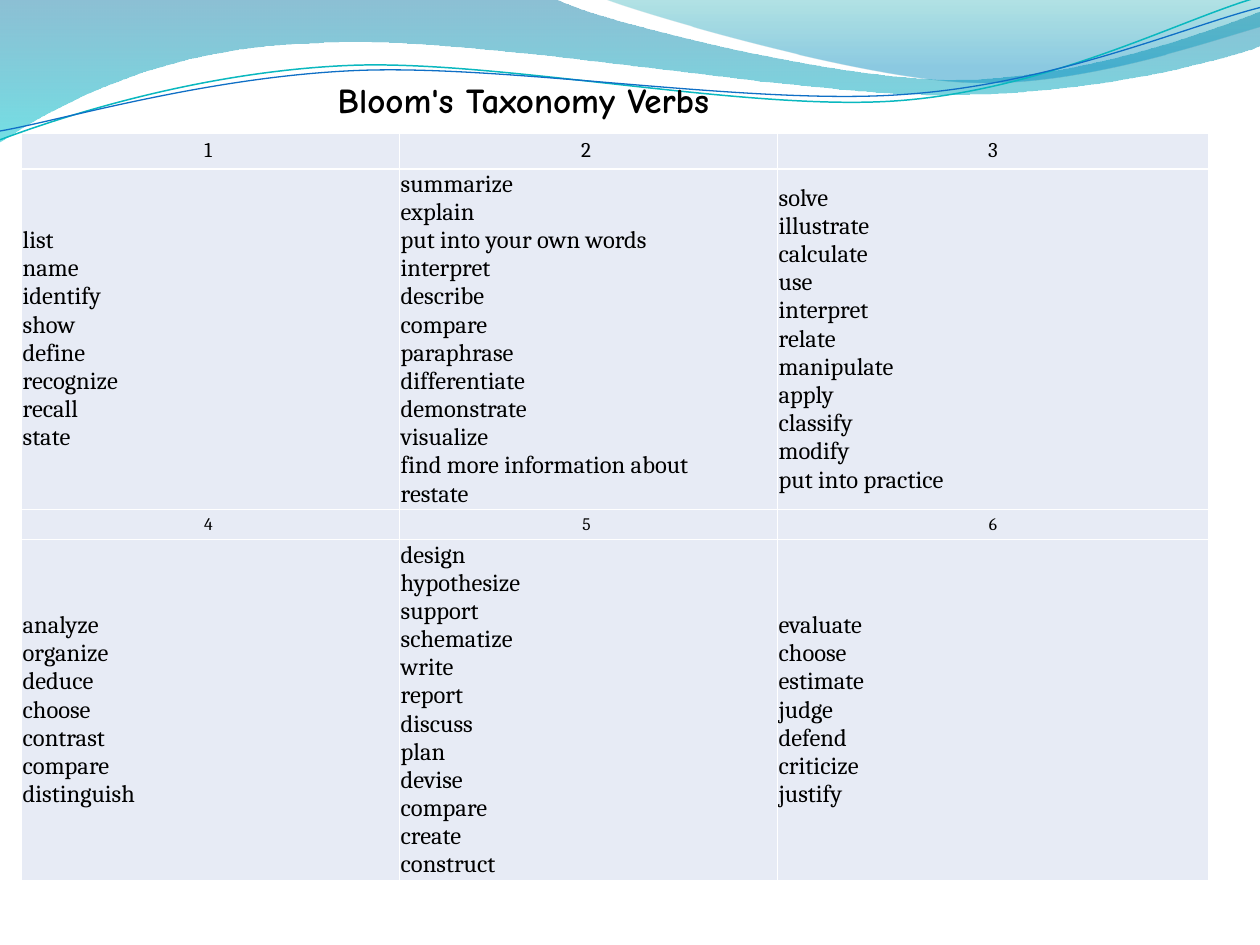
import copy
from dataclasses import dataclass
from typing import Any, Optional

import pptx
import pptx.dml.color
import pptx.enum.text
import pptx.oxml
import pptx.oxml.ns
import pptx.util

Inches = pptx.util.Inches
Pt = pptx.util.Pt
Point = tuple[float, float]


@dataclass(frozen=True)
class Theme:
    ink: str = "000000"
    cell: str = "E7EBF5"
    border: str = "FFFFFF"
    title_font: str = "Comic Neue"
    body_font: str = "Cambria"
    title_size: int = 20
    first_level_size: int = 12
    second_level_size: int = 10
    verb_size: int = 14


@dataclass(frozen=True)
class Stop:
    position: float
    color: str
    opacity: int


@dataclass(frozen=True)
class Wave:
    start: Point
    steps: list[tuple[Point, ...]]
    gradient: tuple[Stop, ...] = ()
    line_color: Optional[str] = None
    line_width: float = 0


@dataclass(frozen=True)
class Band:
    height: float
    texts: tuple[str, ...]
    size: int
    align: Any


THEME = Theme()
ALIGN = pptx.enum.text.PP_ALIGN
ANCHOR = pptx.enum.text.MSO_ANCHOR
COLUMN_WIDTHS = (3, 3, 3.42)

WAVES = [
    Wave((0, 0), [
        ((4.4, -0.01),),
        ((4.76, 0.17), (6.64, 0.63), (7.58, 0.63)),
        ((8.53, 0.63), (9.58, 0.26), (10, 0.09)),
        ((10.01, 0.36),),
        ((9.83, 0.44), (8.7, 0.76), (7.46, 0.75)),
        ((6.22, 0.75), (3.82, 0.28), (2.57, 0.34)),
        ((1.29, 0.36), (0.46, 0.83), (-0.01, 1.13)),
        ((0, 0),),
    ], gradient=(Stop(0, "0074A1", 45), Stop(1, "00C6CF", 55))),
    Wave((4.79, -0.01), [
        ((5.09, 0.11), (6.82, 0.62), (7.69, 0.65)),
        ((8.56, 0.69), (9.61, 0.32), (10, 0.21)),
        ((10, 0),),
        ((4.79, -0.01),),
    ], gradient=(Stop(0, "00A1A9", 30), Stop(0.8, "008BBF", 45))),
    Wave((0, 1.11), [
        ((0.48, 0.93), (1.58, 0.57), (2.77, 0.52)),
        ((3.95, 0.47), (5.93, 0.89), (7.13, 0.8)),
        ((8.33, 0.71), (9.38, 0.15), (9.98, -0.02)),
    ], line_color="0AB8BF", line_width=0.85),
    Wave((0, 1.04), [
        ((0.47, 0.96), (1.64, 0.61), (2.83, 0.56)),
        ((4.03, 0.51), (5.97, 0.84), (7.17, 0.75)),
        ((8.36, 0.67), (9.41, 0.21), (10, 0.06)),
    ], line_color="0F6FC6", line_width=0.75),
]

BANDS = [
    Band(0.28, ("1 ", "2 ", "3"), THEME.first_level_size, ALIGN.CENTER),
    Band(2.53, (
        "list\nname\nidentify\nshow\ndefine\nrecognize\nrecall\nstate",
        "summarize\nexplain\nput into your own words\ninterpret\ndescribe\ncompare\n"
        "paraphrase\ndifferentiate\ndemonstrate\nvisualize\n"
        "find more information about\nrestate",
        "solve\nillustrate\ncalculate\nuse\ninterpret\nrelate\nmanipulate\napply\n"
        "classify\nmodify\nput into practice",
    ), THEME.verb_size, ALIGN.LEFT),
    Band(0.24, ("4 ", "5 ", "6"), THEME.second_level_size, ALIGN.CENTER),
    Band(2.53, (
        "analyze\norganize\ndeduce\nchoose\ncontrast\ncompare\ndistinguish",
        "design\nhypothesize\nsupport\nschematize\nwrite\nreport\ndiscuss\nplan\n"
        "devise\ncompare\ncreate\nconstruct",
        "evaluate\nchoose\nestimate\njudge\ndefend\ncriticize\njustify",
    ), THEME.verb_size, ALIGN.LEFT),
]


def rgb(color: str) -> pptx.dml.color.RGBColor:
    return pptx.dml.color.RGBColor.from_string(color)


def set_format(target: Any, values: dict[str, Any]) -> None:
    for attribute, value in values.items():
        setattr(target, attribute, value)


def write_text(paragraph: Any, text: str, font: dict[str, Any], align: Any) -> None:
    paragraph.text = text.replace("\n", "\v")
    paragraph.alignment = align
    for run in paragraph.runs:
        set_format(run.font, font)
        run.font.color.rgb = rgb(THEME.ink)
    run_format = paragraph.runs[0].font._element
    for line_break in paragraph._p.findall(pptx.oxml.ns.qn("a:br")):
        line_break.append(copy.deepcopy(run_format))


def bend_segments(ribbon: Any, steps: list[tuple[Point, ...]]) -> None:
    segments = list(ribbon._element.iter(pptx.oxml.ns.qn("a:lnTo")))
    for segment, step in zip(segments, steps):
        if len(step) == 3:
            points = "".join(
                f'<a:pt x="{Inches(x) - ribbon.left}" y="{Inches(y) - ribbon.top}"/>'
                for x, y in step)
            segment.getparent().replace(segment, pptx.oxml.parse_xml(
                f'<a:cubicBezTo {pptx.oxml.ns.nsdecls("a")}>{points}</a:cubicBezTo>'))


def draw_wave(slide: Any, wave: Wave) -> None:
    anchors = [(Inches(x), Inches(y))
               for x, y in (wave.start, *(step[-1] for step in wave.steps))]
    builder = slide.shapes.build_freeform(*anchors[0], scale=1.0)
    builder.add_line_segments(anchors[1:], close=bool(wave.gradient))
    ribbon = builder.convert_to_shape()
    bend_segments(ribbon, wave.steps)
    ribbon.shadow.inherit = False
    if not wave.gradient:
        ribbon.fill.background()
        ribbon.line.color.rgb = rgb(wave.line_color)
        ribbon.line.width = Pt(wave.line_width)
        return
    ribbon.line.fill.background()
    ribbon.fill.gradient()
    ribbon.fill.gradient_angle = 270
    for target, stop in zip(ribbon.fill.gradient_stops, wave.gradient):
        target.color.rgb = rgb(stop.color)
        target.position = stop.position
        color = target._gs.find(pptx.oxml.ns.qn("a:srgbClr"))
        color.append(pptx.oxml.parse_xml(
            f'<a:alpha {pptx.oxml.ns.nsdecls("a")} val="{stop.opacity * 1000}"/>'))


def draw_borders(cell: Any) -> None:
    properties = cell._tc.get_or_add_tcPr()
    for position, side in enumerate(("lnL", "lnR", "lnT", "lnB")):
        properties.insert(position, pptx.oxml.parse_xml(
            f'<a:{side} {pptx.oxml.ns.nsdecls("a")} w="{Pt(1)}"><a:solidFill>'
            f'<a:srgbClr val="{THEME.border}"/></a:solidFill></a:{side}>'))


def draw_verbs(slide: Any, bands: list[Band]) -> None:
    verbs = slide.shapes.add_table(
        len(bands), len(COLUMN_WIDTHS), Inches(0.17), Inches(1.06),
        Inches(sum(COLUMN_WIDTHS)), Inches(sum(band.height for band in bands))).table
    set_format(verbs, {"first_row": False, "horz_banding": False})
    for column, width in zip(verbs.columns, COLUMN_WIDTHS):
        column.width = Inches(width)
    margins = {f"margin_{side}": Inches(0.01) for side in ("left", "right", "top", "bottom")}
    for row, band in zip(verbs.rows, bands):
        row.height = Inches(band.height)
        for cell, text in zip(row.cells, band.texts):
            set_format(cell, {**margins, "vertical_anchor": ANCHOR.MIDDLE})
            cell.fill.solid()
            cell.fill.fore_color.rgb = rgb(THEME.cell)
            draw_borders(cell)
            font = {"name": THEME.body_font, "size": Pt(band.size), "bold": False}
            write_text(cell.text_frame.paragraphs[0], text, font, band.align)


def draw_title(slide: Any, text: str) -> None:
    title = slide.shapes.title
    set_format(title, {"left": Inches(2.58), "top": Inches(0.57),
                       "width": Inches(4.92), "height": Inches(0.74)})
    set_format(title.text_frame, {
        "word_wrap": True, "vertical_anchor": ANCHOR.TOP,
        "margin_left": Inches(0.1), "margin_top": Inches(0.05)})
    font = {"name": THEME.title_font, "size": Pt(THEME.title_size), "bold": True}
    write_text(title.text_frame.paragraphs[0], text, font, ALIGN.LEFT)
    slide.shapes._spTree.append(title._element)


def main() -> None:
    deck = pptx.Presentation()
    set_format(deck, {"slide_width": Inches(10), "slide_height": Inches(7.5)})
    slide = deck.slides.add_slide(deck.slide_layouts[5])
    for wave in WAVES:
        draw_wave(slide, wave)
    draw_verbs(slide, BANDS)
    draw_title(slide, "Bloom's Taxonomy Verbs")
    deck.save("out.pptx")


if __name__ == "__main__":
    main()
